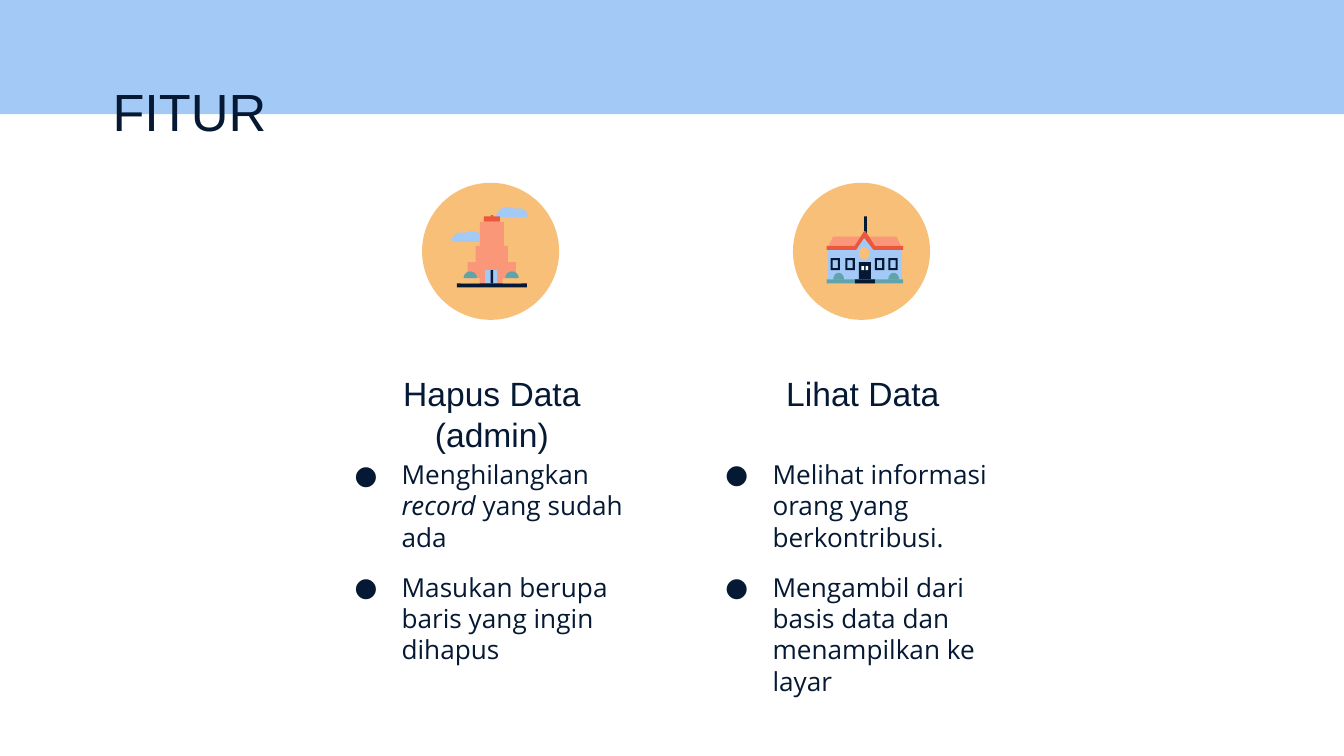
import math

from lxml import etree
from pptx import Presentation
from pptx.dml import color
from pptx.enum import shapes, text
from pptx.oxml import ns
from pptx.util import Inches, Pt

KIND = shapes.MSO_SHAPE
NAVY, BLUE, GOLD = "051934", "A3CAF7", "F8BF79"
PINK, RED, TEAL, WHITE = "FA9778", "EB573D", "5FA4AB", "FFFFFF"


def paint(hue):
    return color.RGBColor.from_string(hue)


def bullet(para, hue, font):
    props = para._p.get_or_add_pPr()
    props.set("marL", str(Inches(0.5)))
    props.set("indent", str(Inches(-0.35)))
    tint = etree.SubElement(props, ns.qn("a:buClr"))
    etree.SubElement(tint, ns.qn("a:srgbClr"), val=hue)
    etree.SubElement(props, ns.qn("a:buSzPts"), val="1400")
    etree.SubElement(props, ns.qn("a:buFont"), typeface=font)
    etree.SubElement(props, ns.qn("a:buChar"), char="●")


class Deck:
    def __init__(self):
        self.file = Presentation()
        self.file.slide_width = Inches(10)
        self.file.slide_height = Inches(10 * 9 / 16)
        self.slide = self.file.slides.add_slide(self.file.slide_layouts[6])
        self.spot = self.slide.shapes

    def group(self):
        """Send the next shapes to a new group."""
        self.spot = self.slide.shapes.add_group_shape().shapes

    def style(self, item, hue):
        item.shadow.inherit = False
        item.fill.solid()
        item.fill.fore_color.rgb = paint(hue)
        item.line.fill.background()

    def shape(self, x, y, w, h, hue, kind=KIND.RECTANGLE):
        item = self.spot.add_shape(kind, *map(Inches, (x, y, w, h)))
        self.style(item, hue)
        return item

    def poly(self, points, hue):
        dots = [(Inches(x), Inches(y)) for x, y in points]
        pen = self.spot.build_freeform(*dots[0])
        pen.add_line_segments(dots[1:], close=True)
        self.style(pen.convert_to_shape(), hue)

    def mound(self, base, bumps, hue):
        """Draw half ellipses (left, width, height) on a base as one outline."""
        left = min(x for x, w, h in bumps)
        span = max(x + w for x, w, h in bumps) - left
        points = []
        for step in range(33):
            x = left + span * (1 - math.cos(math.pi * step / 32)) / 2
            rise = max(h * math.sqrt(max(0, 1 - (2 * (x - a) / w - 1) ** 2))
                       for a, w, h in bumps)
            points.append((x, base - rise))
        self.poly(points, hue)

    def text(self, x, y, w, h, paras, size, font="Arial", lead=None,
             align=text.PP_ALIGN.LEFT, gap=0, dots=False):
        """Write paragraphs, each a list of (words, italic) runs."""
        box = self.slide.shapes.add_textbox(*map(Inches, (x, y, w, h)))
        frame = box.text_frame
        frame.word_wrap = True
        frame.margin_left = frame.margin_right = Inches(0.1)
        frame.margin_top = frame.margin_bottom = Inches(0.1)
        for n, runs in enumerate(paras):
            para = frame.add_paragraph() if n else frame.paragraphs[0]
            if dots:
                bullet(para, NAVY, font)
            para.alignment = align
            para.line_spacing = Pt(lead)
            para.space_before = Pt(gap if n else 0)
            for words, slant in runs:
                run = para.add_run()
                run.text = words
                run.font.size = Pt(size)
                run.font.name = font
                run.font.italic = slant
                run.font.color.rgb = paint(NAVY)


def tower(deck):
    deck.group()
    deck.shape(3.48, 1.95, 0.36, 0.18, PINK)
    deck.mound(1.8, [(3.36, 0.14, 0.07), (3.42, 0.18, 0.08)], BLUE)
    deck.mound(1.62, [(3.69, 0.18, 0.08), (3.79, 0.14, 0.07)], BLUE)
    deck.shape(3.65, 1.6, 0.02, 0.02, RED)
    deck.shape(3.6, 1.61, 0.12, 0.04, RED)
    deck.shape(3.57, 1.65, 0.18, 0.19, PINK)
    deck.shape(3.54, 1.83, 0.24, 0.28, PINK)
    deck.shape(3.61, 2.01, 0.09, 0.1, BLUE)
    deck.shape(3.65, 2.01, 0.02, 0.1, NAVY)
    deck.shape(3.4, 2.11, 0.52, 0.03, NAVY)
    for x in (3.45, 3.76):
        deck.shape(x - 0.02, 2.07, 0.14, 0.04, GOLD)
        deck.mound(2.07, [(x, 0.1, 0.05)], TEAL)


def school(deck):
    deck.group()
    deck.poly([(6.2, 1.76), (6.67, 1.76), (6.71, 1.84), (6.16, 1.84)], PINK)
    deck.poly([(6.43, 1.73), (6.37, 1.83), (6.16, 1.83), (6.16, 2.08),
               (6.71, 2.08), (6.71, 1.83), (6.5, 1.83)], BLUE)
    deck.shape(6.39, 1.95, 0.09, 0.13, NAVY)
    for x in (6.41, 6.44):
        deck.shape(x, 1.98, 0.02, 0.03, WHITE)
    for x in (6.18, 6.29, 6.51, 6.61):
        pane = deck.shape(x, 1.92, 0.07, 0.09, NAVY, KIND.FRAME)
        pane.adjustments[0] = 0.22
    deck.shape(6.43, 1.61, 0.02, 0.13, NAVY)
    deck.poly([(6.43, 1.72), (6.36, 1.83), (6.15, 1.83), (6.15, 1.86),
               (6.37, 1.86), (6.43, 1.77), (6.5, 1.86), (6.72, 1.86),
               (6.72, 1.83), (6.51, 1.83), (6.44, 1.72)], RED)
    deck.shape(6.39, 1.84, 0.08, 0.09, GOLD, KIND.OVAL)
    deck.shape(6.15, 2.08, 0.57, 0.03, TEAL)
    deck.shape(6.36, 2.08, 0.15, 0.03, NAVY)
    for x in (6.2, 6.61):
        deck.mound(2.08, [(x, 0.08, 0.05)], TEAL)


def main():
    deck = Deck()
    deck.shape(0, 0, 10, 0.85, BLUE)
    deck.text(0.74, 0.49, 7.73, 0.63, [[("FITUR", False)]], 28, lead=33.5)
    cards = [
        (["Hapus Data", "(admin)"],
         [[("Menghilangkan ", False), ("record", True),
           (" yang sudah ada", False)],
          [("Masukan berupa baris yang ingin dihapus", False)]]),
        (["Lihat Data"],
         [[("Melihat informasi orang yang berkontribusi.", False)],
          [("Mengambil dari basis data dan menampilkan ke layar", False)]]),
    ]
    for n, (head, body) in enumerate(cards):
        x = 2.39 + 2.76 * n
        deck.text(x, 2.67, 2.54, 0.63, [[(line, False)] for line in head], 18,
                  lead=22, align=text.PP_ALIGN.CENTER)
        deck.text(x, 3.31, 2.54, 1.74, body, 14, font="Open Sans", lead=16.8,
                  gap=10, dots=True)
        deck.shape(x + 0.75, 1.36, 1.02, 1.02, GOLD, KIND.OVAL)
    tower(deck)
    school(deck)
    deck.file.save("out.pptx")


if __name__ == "__main__":
    main()
